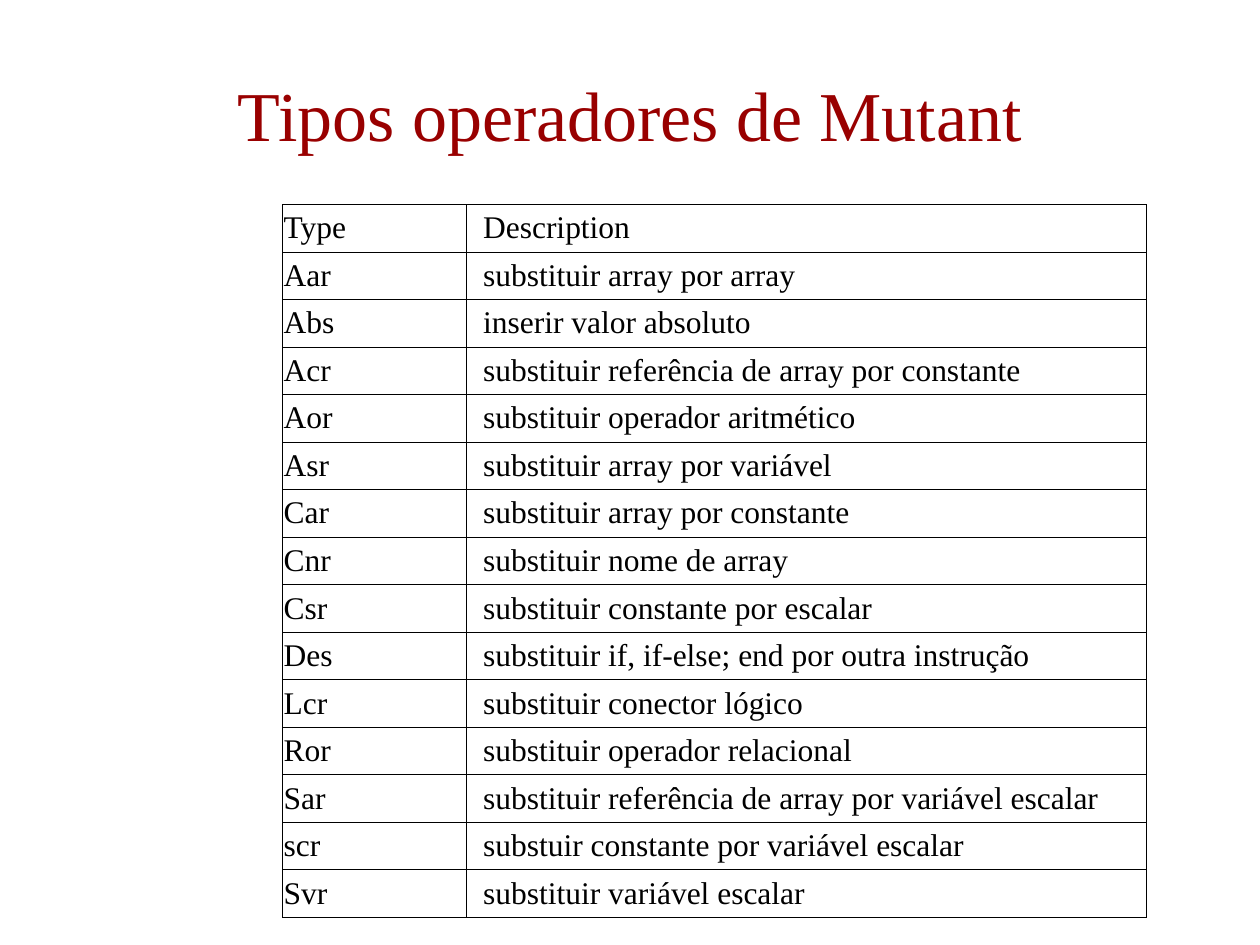
from pptx import Presentation as Deck
from pptx.dml.color import RGBColor as Rgb
from pptx.enum.text import MSO_ANCHOR as Anchor, PP_ALIGN as Align
from pptx.oxml import parse_xml
from pptx.oxml.ns import nsdecls
from pptx.util import Pt

HUES = {"title": "990000", "text": "000000", "rule": "000000"}
ROWS = [
    ("Type", "Description"),
    ("Aar", "substituir array por array"),
    ("Abs", "inserir valor absoluto"),
    ("Acr", "substituir referência de array por constante"),
    ("Aor", "substituir operador aritmético"),
    ("Asr", "substituir array por variável"),
    ("Car", "substituir array por constante"),
    ("Cnr", "substituir nome de array"),
    ("Csr", "substituir constante por escalar"),
    ("Des", "substituir if, if-else; end por outra instrução"),
    ("Lcr", "substituir conector lógico"),
    ("Ror", "substituir operador relacional"),
    ("Sar", "substituir referência de array por variável escalar"),
    ("scr", "substuir constante por variável escalar"),
    ("Svr", "substituir variável escalar"),
]


class Painter:
    """Holds the text style and the slide being built."""

    def __init__(self, slide, face):
        self.slide = slide
        self.face = face

    def apply(self, item, form):
        for name, value in form.items():
            setattr(item, name, value)

    def label(self, frame, text, size, hue, align):
        par = frame.paragraphs[0]
        par.text = text
        par.alignment = align
        font = par.runs[0].font
        self.apply(font, {"name": self.face, "size": Pt(size)})
        font.color.rgb = Rgb.from_string(HUES[hue])

    def title(self, text, box, size):
        frame = self.slide.shapes.add_textbox(*map(Pt, box)).text_frame
        self.apply(frame, {"word_wrap": True, "vertical_anchor": Anchor.MIDDLE})
        self.label(frame, text, size, "title", Align.CENTER)

    def border(self, cell, width):
        props = cell._tc.get_or_add_tcPr()
        for at, side in enumerate(("lnL", "lnR", "lnT", "lnB")):
            props.insert(at, parse_xml(
                f'<a:{side} {nsdecls("a")} w="{Pt(width)}"><a:solidFill>'
                f'<a:srgbClr val="{HUES["rule"]}"/></a:solidFill></a:{side}>'))

    def table(self, rows, left, top, widths, height, insets, size):
        box = left, top, sum(widths), height * len(rows)
        grid = self.slide.shapes.add_table(
            len(rows), len(widths), *map(Pt, box)).table
        self.apply(grid, {"first_row": False, "horz_banding": False})
        for col, width in zip(grid.columns, widths):
            col.width = Pt(width)
        for row, texts in zip(grid.rows, rows):
            row.height = Pt(height)
            for cell, text, inset in zip(row.cells, texts, insets):
                self.apply(cell, {
                    "margin_left": Pt(inset), "margin_right": Pt(0.7),
                    "margin_top": Pt(3.6), "margin_bottom": Pt(3.6),
                    "vertical_anchor": Anchor.BOTTOM})
                cell.fill.background()
                self.border(cell, 0.45)
                self.label(cell.text_frame, text, size, "text", Align.LEFT)


def main():
    deck = Deck()
    deck.slide_width, deck.slide_height = Pt(720), Pt(540)
    slide = deck.slides.add_slide(deck.slide_layouts[6])
    pen = Painter(slide, "Times New Roman")
    pen.table(ROWS, 161.4, 116.8, (105, 388.5), 22.25, (0.7, 9.7), 18)
    pen.title("Tipos operadores de Mutant", (0, 20, 720, 90), 40)
    deck.save("out.pptx")


if __name__ == "__main__":
    main()
